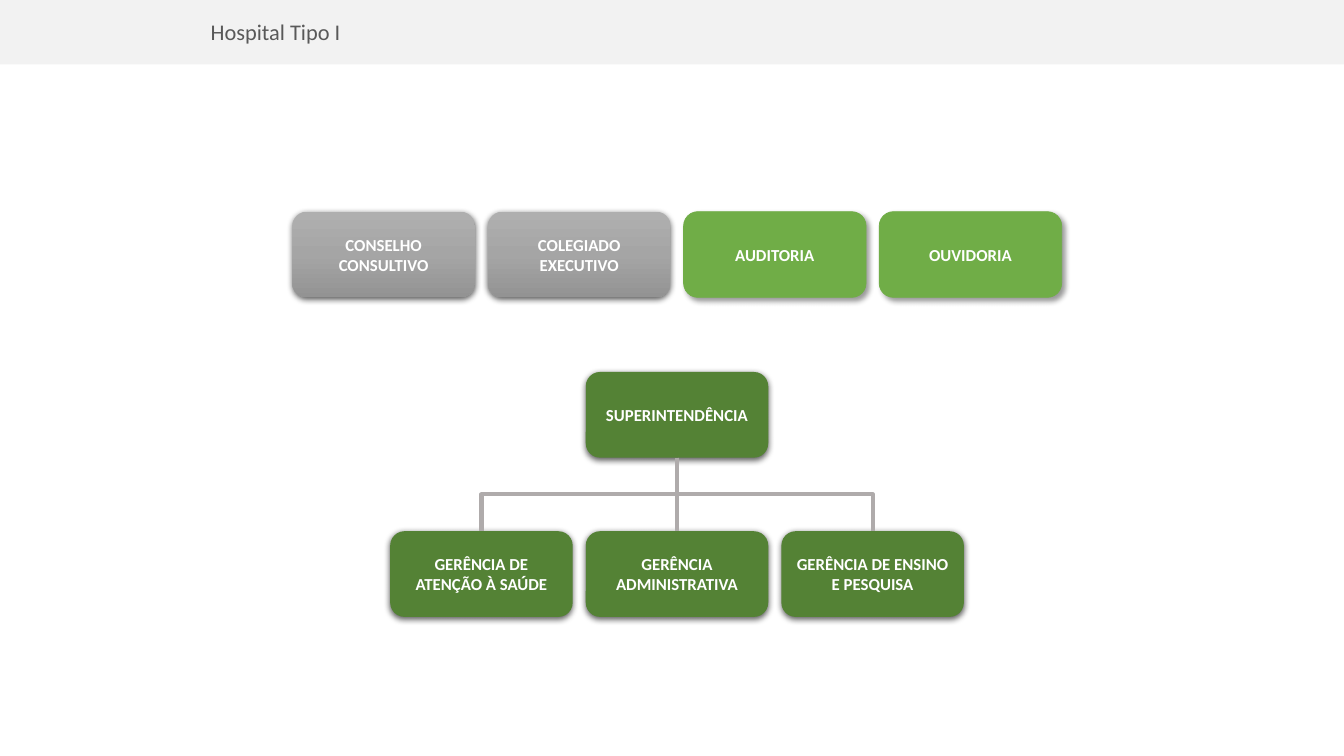
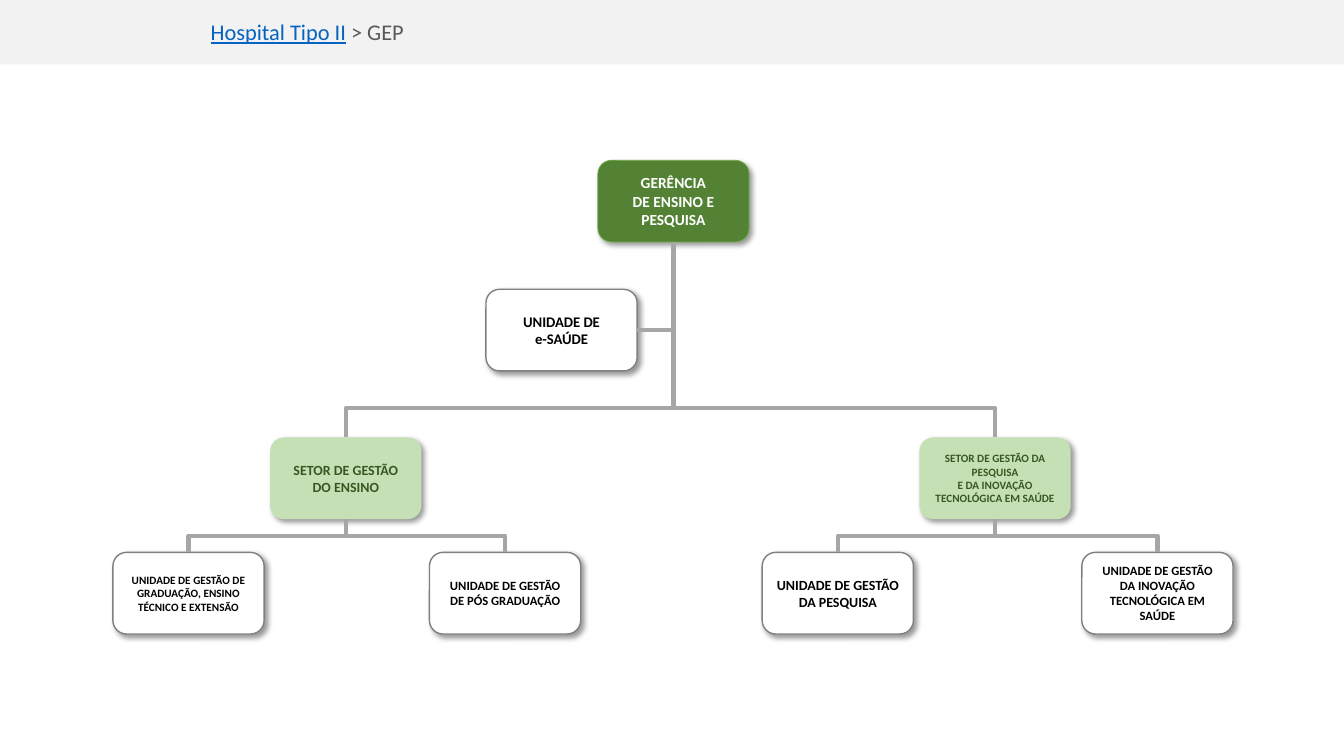
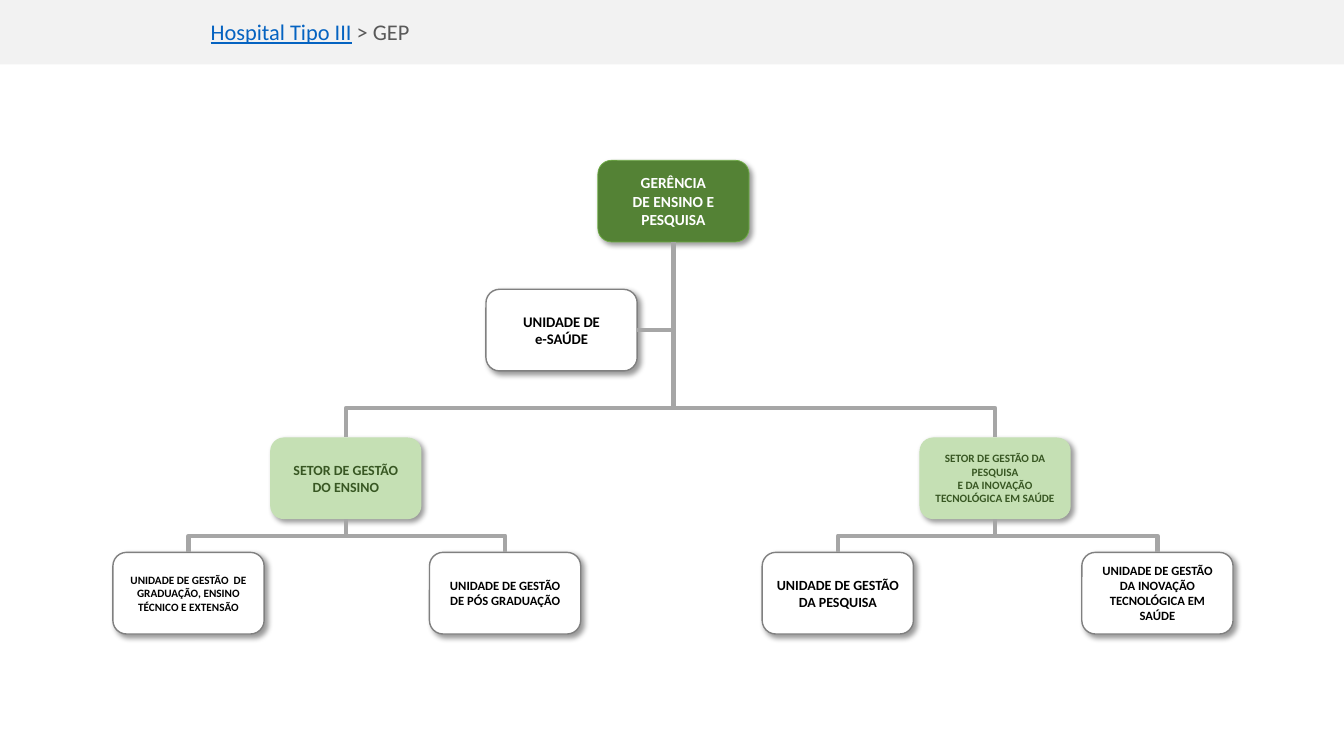
from dataclasses import dataclass

from lxml import etree
from pptx import Presentation
from pptx.dml.color import RGBColor
from pptx.enum.shapes import MSO_CONNECTOR, MSO_SHAPE
from pptx.enum.text import MSO_ANCHOR, MSO_AUTO_SIZE, PP_ALIGN
from pptx.oxml.ns import qn
from pptx.util import Inches, Pt

RECTANGLE = MSO_SHAPE.RECTANGLE
ROUNDED = MSO_SHAPE.ROUNDED_RECTANGLE
STRAIGHT = MSO_CONNECTOR.STRAIGHT
ELBOW = MSO_CONNECTOR.ELBOW
CENTER = PP_ALIGN.CENTER
LEFT = PP_ALIGN.LEFT
MIDDLE = MSO_ANCHOR.MIDDLE
TOP = MSO_ANCHOR.TOP
NO_AUTOFIT = MSO_AUTO_SIZE.NONE

SITE_TOP, SITE_BOTTOM, SITE_RIGHT = 0, 2, 3
FONT = "Calibri"
TITLE_COLOR = "595959"
LINK_COLOR = "0563C1"
BAND_COLOR = "F2F2F2"


@dataclass(frozen=True)
class Shadow:
    alpha: int
    blur: float
    distance: float
    angle: int


@dataclass(frozen=True)
class BoxStyle:
    fill: str | tuple
    text: str
    shadow: Shadow
    line: str = ""
    line_width: float = 0.5


BELOW = Shadow(63, 4.5, 1.5, 90)
DIAGONAL = Shadow(40, 4, 3, 45)
COUNCIL = BoxStyle(("AFAFAF", "A5A5A5", "939393"), "FFFFFF", BELOW)
CONTROL = BoxStyle("70AD47", "FFFFFF", DIAGONAL, "70AD47")
BOARD = BoxStyle("548235", "FFFFFF", BELOW)
MANAGEMENT = BoxStyle("548235", "FFFFFF", DIAGONAL, "70AD47")
SECTOR = BoxStyle("C5E0B4", "385723", DIAGONAL)
UNIT = BoxStyle("FFFFFF", "000000", DIAGONAL, "808080", 1)


def rgb(color):
    return RGBColor.from_string(color)


class OrganizationDeck:
    def __init__(self):
        self.deck = Presentation()
        self.deck.slide_width = Inches(13.33)
        self.deck.slide_height = Inches(7.5)
        self.layout = self.deck.slide_layouts[5]
        self.page = None

    def add_page(self, current, link=""):
        first = self.page is None
        self.page = self.deck.slides.add_slide(self.layout)
        if first:
            self.add_band_to_layout()
        title = self.page.shapes.title
        title.left, title.top = Inches(1.99), Inches(0.13)
        title.width, title.height = Inches(11.24), Inches(0.52)
        frame = title.text_frame
        frame.auto_size = NO_AUTOFIT
        frame.vertical_anchor = TOP
        para = frame.paragraphs[0]
        para.alignment = LEFT
        para.font.name = FONT
        para.font.size = Pt(16)
        if link:
            span = para.add_run()
            span.text = link
            span.font.underline = True
            span.font.color.rgb = rgb(LINK_COLOR)
        span = para.add_run()
        span.text = current
        span.font.color.rgb = rgb(TITLE_COLOR)

    def add_band_to_layout(self):
        band = self.page.shapes.add_shape(
            RECTANGLE, 0, 0, self.deck.slide_width, Inches(0.64))
        band.shadow.inherit = False
        band.fill.solid()
        band.fill.fore_color.rgb = rgb(BAND_COLOR)
        band.line.fill.background()
        self.layout.shapes._spTree.insert(2, band._element)

    def add_box(self, left, top, width, height, text, style, size):
        box = self.page.shapes.add_shape(
            ROUNDED, Inches(left), Inches(top), Inches(width), Inches(height))
        self.fill_box(box, style.fill)
        if style.line:
            box.line.color.rgb = rgb(style.line)
            box.line.width = Pt(style.line_width)
        else:
            box.line.fill.background()
        self.cast_shadow(box, style.shadow)
        frame = box.text_frame
        frame.word_wrap = True
        frame.vertical_anchor = MIDDLE
        frame.text = text
        for para in frame.paragraphs:
            para.alignment = CENTER
            para.font.name = FONT
            para.font.size = Pt(size)
            para.font.bold = True
            para.font.color.rgb = rgb(style.text)
        return box

    def fill_box(self, box, fill):
        if isinstance(fill, str):
            box.fill.solid()
            box.fill.fore_color.rgb = rgb(fill)
            return
        box.fill.gradient()
        box.fill.gradient_angle = 270
        stops = box._element.spPr.find(".//" + qn("a:gsLst"))
        for stop in list(stops):
            stops.remove(stop)
        for index, color in enumerate(fill):
            position = 100000 * index // (len(fill) - 1)
            stop = etree.SubElement(stops, qn("a:gs"), pos=str(position))
            etree.SubElement(stop, qn("a:srgbClr"), val=color)

    def cast_shadow(self, box, shadow):
        box.shadow.inherit = False
        effects = box._element.spPr.find(qn("a:effectLst"))
        outer = etree.SubElement(
            effects, qn("a:outerShdw"), blurRad=str(Pt(shadow.blur)),
            dist=str(Pt(shadow.distance)), dir=str(shadow.angle * 60000),
            algn="ctr", rotWithShape="0")
        color = etree.SubElement(outer, qn("a:srgbClr"), val="000000")
        etree.SubElement(color, qn("a:alpha"), val=str(shadow.alpha * 1000))

    def connect(self, kind, parent, child, site, color):
        line = self.page.shapes.add_connector(kind, 0, 0, 0, 0)
        line.begin_connect(parent, SITE_BOTTOM)
        line.end_connect(child, site)
        line.line.color.rgb = rgb(color)
        line.line.width = Pt(3)
        etree.SubElement(line._element.spPr, qn("a:effectLst"))
        return line

    def add_straight(self, parent, child, color):
        self.connect(STRAIGHT, parent, child, SITE_TOP, color)

    def add_elbow(self, parent, child, color, site=SITE_TOP, bend=0.5):
        line = self.connect(ELBOW, parent, child, site, color)
        start_x = parent.left + parent.width // 2
        start_y = parent.top + parent.height
        if site == SITE_TOP:
            end_x, end_y = child.left + child.width // 2, child.top
        else:
            end_x = child.left + child.width
            end_y = child.top + child.height // 2
        drop, span = end_y - start_y, abs(end_x - start_x)
        line.left = (start_x + end_x - drop) // 2
        line.top = (start_y + end_y - span) // 2
        line.width, line.height = drop, span
        frame = line._element.spPr.find(qn("a:xfrm"))
        for flip in ("flipH", "flipV"):
            frame.attrib.pop(flip, None)
        frame.set("rot", str((90 if end_x < start_x else 270) * 60000))
        if end_x > start_x:
            frame.set("flipH", "1")
        geometry = line._element.spPr.find(qn("a:prstGeom"))
        if site == SITE_TOP:
            guides = geometry.find(qn("a:avLst"))
            etree.SubElement(guides, qn("a:gd"), name="adj1",
                             fmla=f"val {round(bend * 100000)}")
        else:
            geometry.set("prst", "bentConnector2")


def add_hospital_page(chart):
    chart.add_page("Hospital Tipo I")
    width, height, step, gray = 1.81, 0.85, 1.94, "AFABAB"
    advisers = [("CONSELHO CONSULTIVO", COUNCIL), ("COLEGIADO EXECUTIVO", COUNCIL),
                ("AUDITORIA", CONTROL), ("OUVIDORIA", CONTROL)]
    for index, (text, style) in enumerate(advisers):
        chart.add_box(2.9 + index * step, 2.1, width, height, text, style, 12)
    head = chart.add_box(5.81, 3.69, width, height, "SUPERINTENDÊNCIA", BOARD, 12)
    managers = ["GERÊNCIA DE ATENÇÃO À SAÚDE", "GERÊNCIA ADMINISTRATIVA",
                "GERÊNCIA DE ENSINO E PESQUISA"]
    left, middle, right = [
        chart.add_box(3.87 + index * step, 5.27, width, height, text, BOARD, 12)
        for index, text in enumerate(managers)]
    chart.add_elbow(head, left, gray)
    chart.add_straight(head, middle, gray)
    chart.add_elbow(head, right, gray)


def add_teaching_page(chart, hospital, graduation):
    chart.add_page(" > GEP", hospital)
    width, height, gray = 1.5, 0.81, "A6A6A6"
    head = chart.add_box(5.93, 1.59, width, height,
                         "GERÊNCIA\nDE ENSINO E PESQUISA", MANAGEMENT, 11)
    health = chart.add_box(4.82, 2.87, width, height,
                           "UNIDADE DE\ne-SAÚDE", UNIT, 10.5)
    chart.add_elbow(head, health, gray, site=SITE_RIGHT)
    sectors = [
        (2.68, "SETOR DE GESTÃO DO ENSINO", 10, [
            (1.12, graduation, 8),
            (4.26, "UNIDADE DE GESTÃO DE PÓS GRADUAÇÃO", 9)]),
        (9.12, "SETOR DE GESTÃO DA PESQUISA\nE DA INOVAÇÃO TECNOLÓGICA EM SAÚDE", 8, [
            (7.56, "UNIDADE DE GESTÃO DA PESQUISA", 10),
            (10.73, "UNIDADE DE GESTÃO DA INOVAÇÃO TECNOLÓGICA EM SAÚDE", 9)]),
    ]
    for left, text, size, units in sectors:
        sector = chart.add_box(left, 4.34, width, height, text, SECTOR, size)
        chart.add_elbow(head, sector, gray, bend=0.85)
        for unit_left, unit_text, unit_size in units:
            unit = chart.add_box(unit_left, 5.48, width, height,
                                 unit_text, UNIT, unit_size)
            chart.add_elbow(sector, unit, gray)


def main():
    chart = OrganizationDeck()
    add_hospital_page(chart)
    add_teaching_page(chart, "Hospital Tipo II",
                      "UNIDADE DE GESTÃO DE GRADUAÇÃO, ENSINO TÉCNICO E EXTENSÃO")
    add_teaching_page(chart, "Hospital Tipo III",
                      "UNIDADE DE GESTÃO  DE GRADUAÇÃO, ENSINO TÉCNICO E EXTENSÃO")
    chart.deck.save("out.pptx")


if __name__ == "__main__":
    main()
